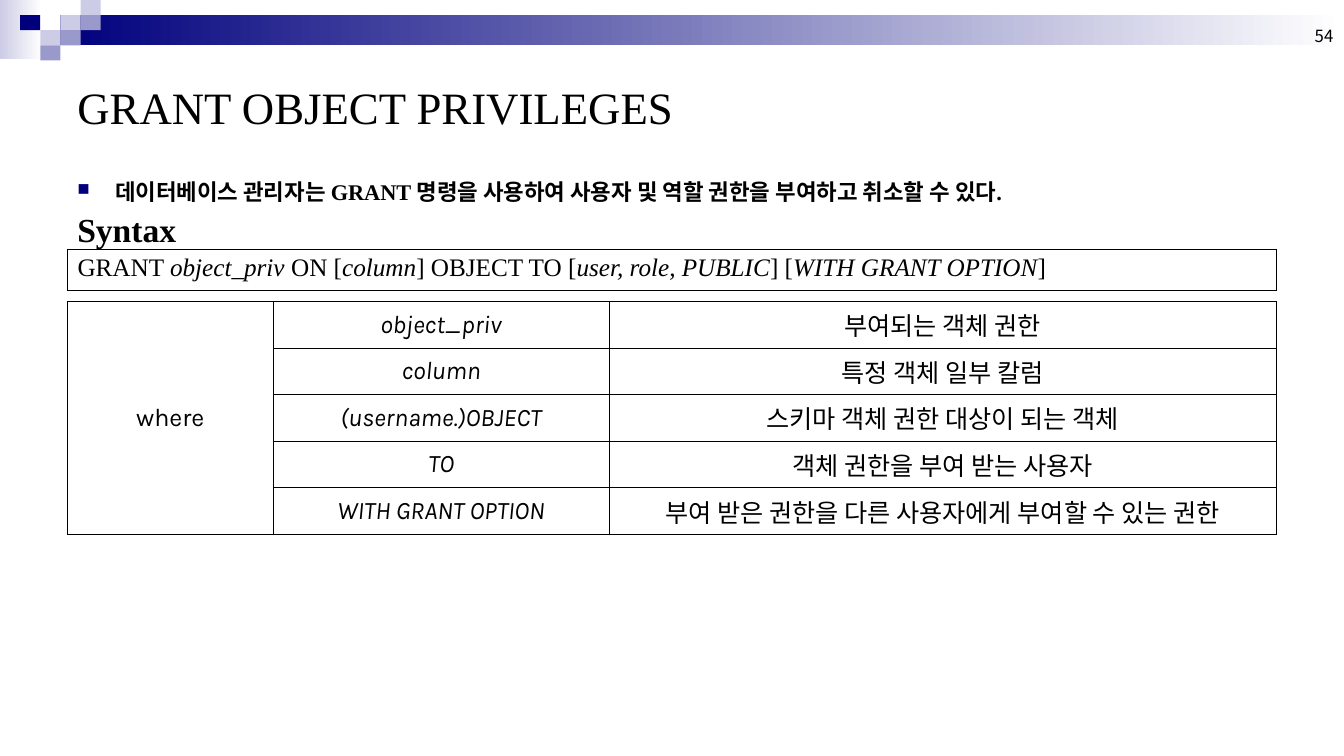
from lxml import etree
from pptx import Presentation
from pptx.dml.color import RGBColor
from pptx.enum import shapes, text
from pptx.oxml import ns
from pptx.util import Pt

BLACK = RGBColor(0x00, 0x00, 0x00)
WHITE = RGBColor(0xFF, 0xFF, 0xFF)
NAVY = RGBColor(0x00, 0x00, 0x7D)
PERIWINKLE = RGBColor(0x99, 0x99, 0xCC)
LAVENDER = RGBColor(0xCC, 0xCC, 0xE6)

SERIF = "Times New Roman"
SANS = "Karla"
KOREAN = "Noto Sans CJK KR"

LEFT, WIDTH = 48.2, 864
TILE_WIDTH, TILE_HEIGHT = 14.4, 10.8
# (column, row, colour) on the tile grid
TILES = [
    (3, 1, LAVENDER), (4, 0, LAVENDER), (4, 1, PERIWINKLE), (2, 2, LAVENDER),
    (1, 1, NAVY), (3, 2, PERIWINKLE), (2, 3, PERIWINKLE),
]
# (text, italic)
GRANT_SYNTAX = [
    ("GRANT ", False), ("object_priv", True), (" ON [", False),
    ("column", True), ("] OBJECT TO [", False), ("user, role, PUBLIC", True),
    ("] [", False), ("WITH GRANT OPTION", True), ("]", False),
]
TERMS = [
    ("object_priv", "부여되는 객체 권한"),
    ("column", "특정 객체 일부 칼럼"),
    ("(username.)OBJECT", "스키마 객체 권한 대상이 되는 객체"),
    ("TO", "객체 권한을 부여 받는 사용자"),
    ("WITH GRANT OPTION", "부여 받은 권한을 다른 사용자에게 부여할 수 있는 권한"),
]


def add_xml(parent, tag, **attributes):
    return etree.SubElement(parent, ns.qn(tag), attributes)


def write_text(frame, runs, size, font=SERIF, bold=False,
               align=text.PP_ALIGN.LEFT, bullet=None):
    """Write (text, italic) runs into the first paragraph of a frame."""
    paragraph = frame.paragraphs[0]
    paragraph.alignment = align
    if bullet:
        properties = paragraph._p.get_or_add_pPr()
        properties.set("marL", str(Pt(27)))
        properties.set("indent", str(Pt(-27)))
        add_xml(add_xml(properties, "a:buClr"), "a:srgbClr", val=str(NAVY))
        add_xml(properties, "a:buSzPct", val="75000")
        add_xml(properties, "a:buChar", char=bullet)
    for content, italic in runs:
        run = paragraph.add_run()
        run.text = content
        run.font.size = Pt(size)
        run.font.name = font
        run.font.bold = bold
        run.font.italic = italic
        run.font.color.rgb = BLACK
        add_xml(run._r.get_or_add_rPr(), "a:ea", typeface=KOREAN)


def add_text(slide, box, content, size, anchor=text.MSO_ANCHOR.TOP, **style):
    frame = slide.shapes.add_textbox(*map(Pt, box)).text_frame
    frame.word_wrap = True
    frame.vertical_anchor = anchor
    write_text(frame, [(content, False)], size, **style)


def add_block(slide, box, *colours):
    """Add a rectangle filled with one colour or a two-colour gradient."""
    block = slide.shapes.add_shape(shapes.MSO_SHAPE.RECTANGLE, *map(Pt, box))
    block.shadow.inherit = False
    block.line.fill.background()
    if len(colours) == 1:
        block.fill.solid()
        block.fill.fore_color.rgb = colours[0]
    else:
        block.fill.gradient()
        block.fill.gradient_angle = 0
        for stop, colour in zip(block.fill.gradient_stops, colours):
            stop.color.rgb = colour


def add_banner(slide, left, top, width):
    add_block(slide, (left, top, 30, 42), LAVENDER, WHITE)
    band_left = 3 * TILE_WIDTH
    add_block(slide, (left + band_left, top + TILE_HEIGHT,
                      width - band_left, 2 * TILE_HEIGHT), NAVY, WHITE)
    for column, row, colour in TILES:
        add_block(slide, (left + column * TILE_WIDTH, top + row * TILE_HEIGHT,
                          TILE_WIDTH, TILE_HEIGHT), colour)
    add_text(slide, (left + width - 224, top, 224, 36), "54", 12,
             anchor=text.MSO_ANCHOR.BOTTOM, font=KOREAN,
             align=text.PP_ALIGN.RIGHT)


def add_ruled_table(slide, left, top, column_widths, row_height, row_count):
    """Add an unfilled table with thin black rules."""
    table = slide.shapes.add_table(
        row_count, len(column_widths), Pt(left), Pt(top),
        Pt(sum(column_widths)), Pt(row_height * row_count)).table
    table.first_row = table.horz_banding = False
    for column, width in zip(table.columns, column_widths):
        column.width = Pt(width)
    for row in table.rows:
        row.height = Pt(row_height)
    for cell in table.iter_cells():
        properties = cell._tc.get_or_add_tcPr()
        for side in ("a:lnL", "a:lnR", "a:lnT", "a:lnB"):
            line = add_xml(properties, side, w=str(Pt(0.45)))
            add_xml(add_xml(line, "a:solidFill"), "a:srgbClr", val=str(BLACK))
        cell.fill.background()
    return table


def add_syntax(slide, left, top, width):
    add_text(slide, (left, top, width, 39.6), "Syntax", 24, bold=True)
    table = add_ruled_table(slide, left, top + 32.6, [width], 29.5, 1)
    write_text(table.cell(0, 0).text_frame, GRANT_SYNTAX, 18)


def add_terms(slide, left, top, width):
    columns = [147, 240, width - 387]
    table = add_ruled_table(slide, left, top, columns, 33.3, len(TERMS))
    table.cell(0, 0).merge(table.cell(len(TERMS) - 1, 0))
    entries = [(0, 0, "where", False)]
    for row, (term, meaning) in enumerate(TERMS):
        entries += [(row, 1, term, True), (row, 2, meaning, False)]
    for row, column, content, italic in entries:
        cell = table.cell(row, column)
        cell.vertical_anchor = text.MSO_ANCHOR.MIDDLE
        write_text(cell.text_frame, [(content, italic)], 18, font=SANS,
                   align=text.PP_ALIGN.CENTER)


def main():
    presentation = Presentation()
    presentation.slide_width = Pt(960.5)
    presentation.slide_height = Pt(540)
    slide = presentation.slides.add_slide(presentation.slide_layouts[6])
    add_banner(slide, 0, 0, 960)
    add_text(slide, (LEFT, 36, WIDTH, 80.6), "GRANT OBJECT PRIVILEGES", 32,
             anchor=text.MSO_ANCHOR.MIDDLE)
    add_text(slide, (LEFT, 123.8, 755, 48),
             "데이터베이스 관리자는 GRANT 명령을 사용하여 사용자 및 역할 권한을 "
             "부여하고 취소할 수 있다.", 16, bold=True, bullet="■")
    add_syntax(slide, LEFT, 145.4, WIDTH)
    add_terms(slide, LEFT, 215.3, WIDTH)
    presentation.save("out.pptx")


if __name__ == "__main__":
    main()
